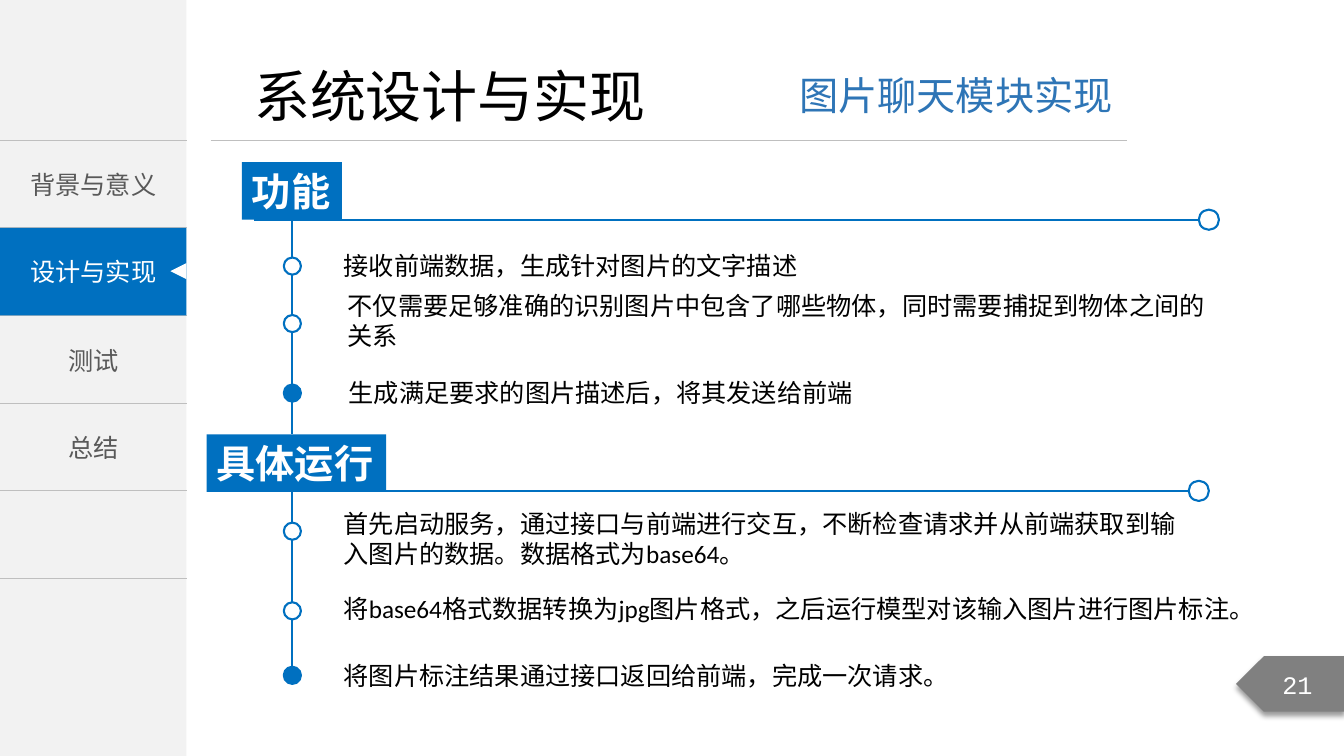
import pptx
import pptx.dml.color
import pptx.enum.shapes
import pptx.enum.text
import pptx.oxml
import pptx.oxml.ns
import pptx.util
from pptx.util import Inches

COLOURS = {"blue": "0070C0", "sky": "2E75B6", "white": "FFFFFF", "black": "000000",
           "panel": "F2F2F2", "rule": "BFBFBF", "grey": "595959", "tag": "808080"}
SHAPES = pptx.enum.shapes.MSO_SHAPE
ALIGN = pptx.enum.text.PP_ALIGN
ANCHOR = pptx.enum.text.MSO_ANCHOR
CHINESE_FONT = "Noto Sans CJK SC"
NAMESPACE = pptx.oxml.ns.nsdecls("a")

MENU = ["背景与意义", "", "测试", "总结", ""]
MENU_TOP, MENU_WIDTH, ROW_HEIGHT = 1.39, 1.85, 0.87
STEM_X, NODE_SIZE, END_SIZE = 2.9, 0.17, 0.2

# Heading box, axis height, axis end, then items: text, box, wrap, space before, node centre
SECTIONS = [
    ("功能", (2.4, 1.61, 0.99, 0.57), 2.18, 11.89, [
        ("接收前端数据，生成针对图片的文字描述", (3.31, 2.43, 4.73, 0.4), True, 6, 2.64),
        ("不仅需要足够准确的识别图片中包含了哪些物体，同时需要捕捉到物体之间的关系",
         (3.35, 2.83, 8.74, 0.71), True, 6, 3.21),
        ("生成满足要求的图片描述后，将其发送给前端", (3.36, 3.69, 5.25, 0.4), False, 0, 3.9)]),
    ("具体运行", (2.05, 4.31, 1.78, 0.57), 4.87, 11.79, [
        ("首先启动服务，通过接口与前端进行交互，不断检查请求并从前端获取到输入图片的数据。"
         "数据格式为base64。", (3.31, 4.99, 8.62, 0.71), True, 0, 5.27),
        ("将base64格式数据转换为jpg图片格式，之后运行模型对该输入图片进行图片标注。",
         (3.31, 5.84, 9.33, 0.4), False, 0, 6.06),
        ("将图片标注结果通过接口返回给前端，完成一次请求。",
         (3.31, 6.5, 6.26, 0.4), False, 0, 6.7)]),
]


def rgb(name):
    return pptx.dml.color.RGBColor.from_string(COLOURS[name])


def set_all(target, values):
    for name, value in values.items():
        setattr(target, name, value)


class SlideBuilder:
    """Holds the current slide and the text style shared by its elements."""

    def __init__(self, slide):
        self.slide = slide
        self.style = {"size": 18, "name": "Calibri", "bold": False}

    def fill_text(self, frame, text, colour="black", align=ALIGN.LEFT, anchor=ANCHOR.TOP,
                  wrap=True, before=0, **style):
        set_all(frame, {"word_wrap": wrap, "vertical_anchor": anchor})
        para = frame.paragraphs[0]
        set_all(para, {"alignment": align, "space_before": pptx.util.Pt(before)})
        span = para.add_run()
        span.text = text
        values = {**self.style, **style}
        set_all(span.font, {**values, "size": pptx.util.Pt(values["size"])})
        span.font.color.rgb = rgb(colour)
        span.font._element.append(pptx.oxml.parse_xml(
            f'<a:ea {NAMESPACE} typeface="{CHINESE_FONT}"/>'))

    def title(self, text, bounds, **style):
        title = self.slide.shapes.title
        set_all(title, dict(zip(("left", "top", "width", "height"), map(Inches, bounds))))
        self.fill_text(title.text_frame, text, **style)

    def text(self, text, bounds, **style):
        box = self.slide.shapes.add_textbox(*map(Inches, bounds))
        self.fill_text(box.text_frame, text, **style)

    def shape(self, kind, bounds, fill=None, line=None, rotation=0):
        shape = self.slide.shapes.add_shape(kind, *map(Inches, bounds))
        shape.shadow.inherit = False
        shape.rotation = rotation
        if fill:
            shape.fill.solid()
            shape.fill.fore_color.rgb = rgb(fill)
        else:
            shape.fill.background()
        if line:
            shape.line.color.rgb = rgb(line)
            shape.line.width = pptx.util.Pt(1.5)
        else:
            shape.line.fill.background()
        return shape

    def circle(self, centre_x, centre_y, size, fill=None):
        bounds = (centre_x - size / 2, centre_y - size / 2, size, size)
        self.shape(SHAPES.OVAL, bounds, fill, line="blue")

    def line(self, start, end, colour="blue", width=1.5):
        line = self.slide.shapes.add_connector(
            pptx.enum.shapes.MSO_CONNECTOR.STRAIGHT, *map(Inches, start + end))
        line.line.color.rgb = rgb(colour)
        line.line.width = pptx.util.Pt(width)
        line._element.spPr.append(pptx.oxml.parse_xml(f"<a:effectLst {NAMESPACE}/>"))

    def menu(self, labels):
        bounds = (0, MENU_TOP, MENU_WIDTH, ROW_HEIGHT * len(labels))
        table = self.slide.shapes.add_table(len(labels), 1, *map(Inches, bounds)).table
        set_all(table, {"first_row": False, "horz_banding": False})
        for row, label in zip(table.rows, labels):
            row.height = Inches(ROW_HEIGHT)
            cell = row.cells[0]
            cell.fill.background()
            if label:
                self.fill_text(cell.text_frame, label, "grey", ALIGN.CENTER,
                               name=CHINESE_FONT)
            cell.vertical_anchor = ANCHOR.MIDDLE
            self.cell_borders(cell)

    def cell_borders(self, cell):
        """Rule the top and bottom edges and leave the sides open."""
        ruled = f'<a:solidFill><a:srgbClr val="{COLOURS["rule"]}"/></a:solidFill>'
        edges = {"lnL": "<a:noFill/>", "lnR": "<a:noFill/>", "lnT": ruled, "lnB": ruled}
        for place, (edge, fill) in enumerate(edges.items()):
            cell._tc.get_or_add_tcPr().insert(place, pptx.oxml.parse_xml(
                f'<a:{edge} {NAMESPACE} w="12700">{fill}</a:{edge}>'))

    def page_tag(self, number):
        tag = self.shape(SHAPES.PENTAGON, (12.26, 6.51, 1.08, 0.55), "tag")
        tag._element.spPr.xfrm.set("flipH", "1")
        effects = tag._element.spPr.find(pptx.oxml.ns.qn("a:effectLst"))
        effects.append(pptx.oxml.parse_xml(
            f'<a:outerShdw {NAMESPACE} blurRad="50800" dist="38100" dir="5400000">'
            f'<a:srgbClr val="{COLOURS["black"]}"><a:alpha val="40000"/></a:srgbClr>'
            '</a:outerShdw>'))
        self.fill_text(tag.text_frame, number, "white", ALIGN.CENTER, ANCHOR.MIDDLE,
                       name="Courier New")

    def section(self, heading, bounds, axis_y, axis_end, items, stem_end):
        self.line((2.52, axis_y), (axis_end, axis_y))
        self.circle(axis_end + END_SIZE / 2, axis_y, END_SIZE)
        self.line((STEM_X, axis_y), (STEM_X, stem_end))
        box = self.shape(SHAPES.RECTANGLE, bounds, "blue")
        self.fill_text(box.text_frame, heading, "white", wrap=False, size=28, bold=True)
        for text, place, wrap, before, node_y in items:
            self.text(text, place, wrap=wrap, before=before)
            last = text == items[-1][0]
            self.circle(STEM_X, node_y, NODE_SIZE, "blue" if last else "white")


def main():
    deck = pptx.Presentation()
    set_all(deck, {"slide_width": Inches(13.33), "slide_height": Inches(7.5)})
    page = SlideBuilder(deck.slides.add_slide(deck.slide_layouts[5]))

    page.shape(SHAPES.RECTANGLE, (0, 0, MENU_WIDTH, 7.5), "panel")
    page.menu(MENU)
    active = page.shape(SHAPES.RECTANGLE,
                        (0, MENU_TOP + ROW_HEIGHT, MENU_WIDTH, ROW_HEIGHT), "blue")
    page.fill_text(active.text_frame, "设计与实现", "white", ALIGN.CENTER, ANCHOR.MIDDLE,
                   name=CHINESE_FONT)
    page.shape(SHAPES.ISOSCELES_TRIANGLE, (1.69, 2.61, 0.16, 0.16), "white", rotation=270)

    page.title("系统设计与实现", (2.42, 0.56, 4.13, 0.77), wrap=False, size=40,
               name=CHINESE_FONT)
    page.text("图片聊天模块实现", (7.83, 0.66, 3.34, 0.57), colour="sky", wrap=False, size=28)
    page.line((2.09, MENU_TOP), (11.18, MENU_TOP), "rule", 0.5)
    page.page_tag("21")

    for section, stem_end in zip(SECTIONS, (4.31, 6.7)):
        page.section(*section, stem_end)
    deck.save("out.pptx")


if __name__ == "__main__":
    main()
